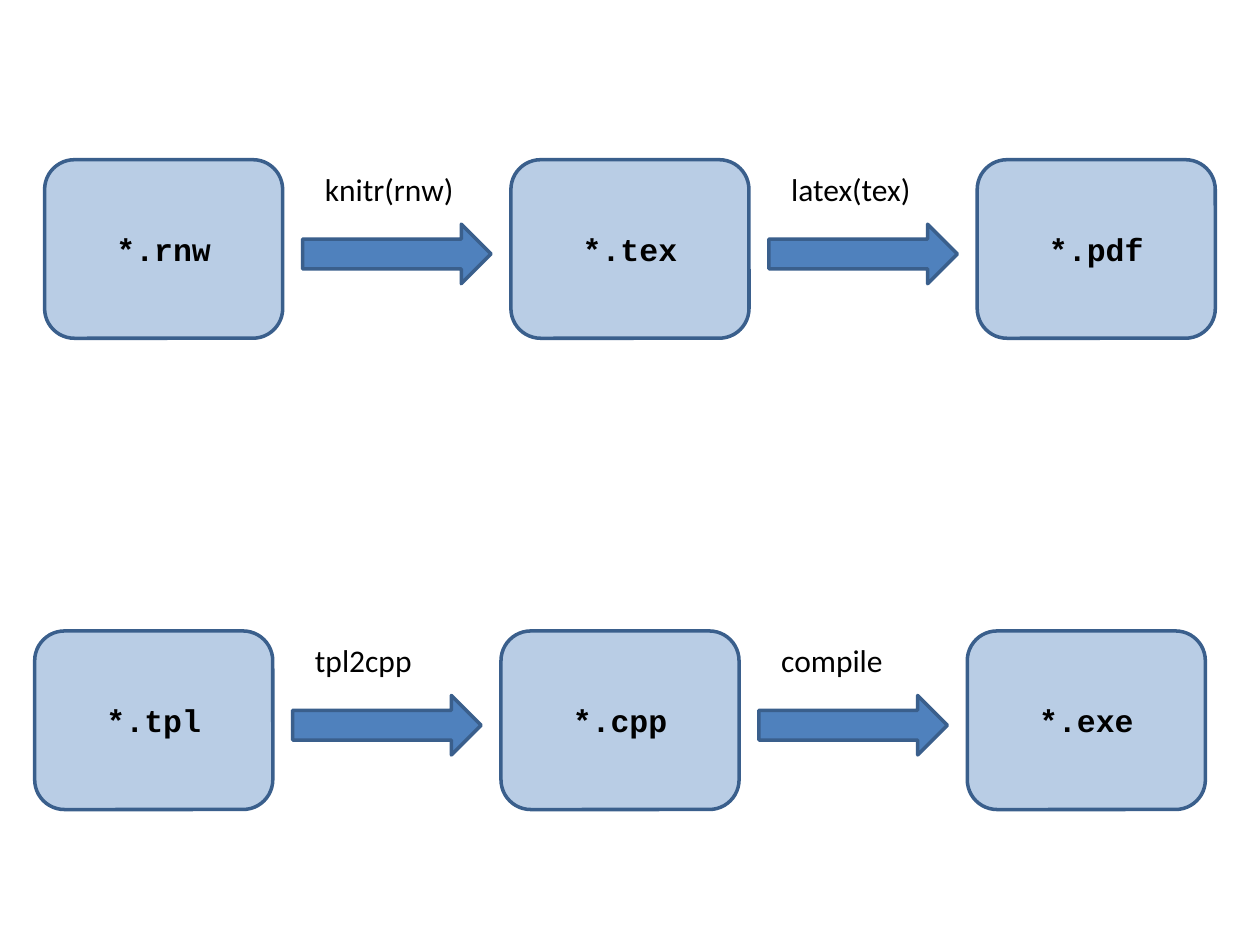
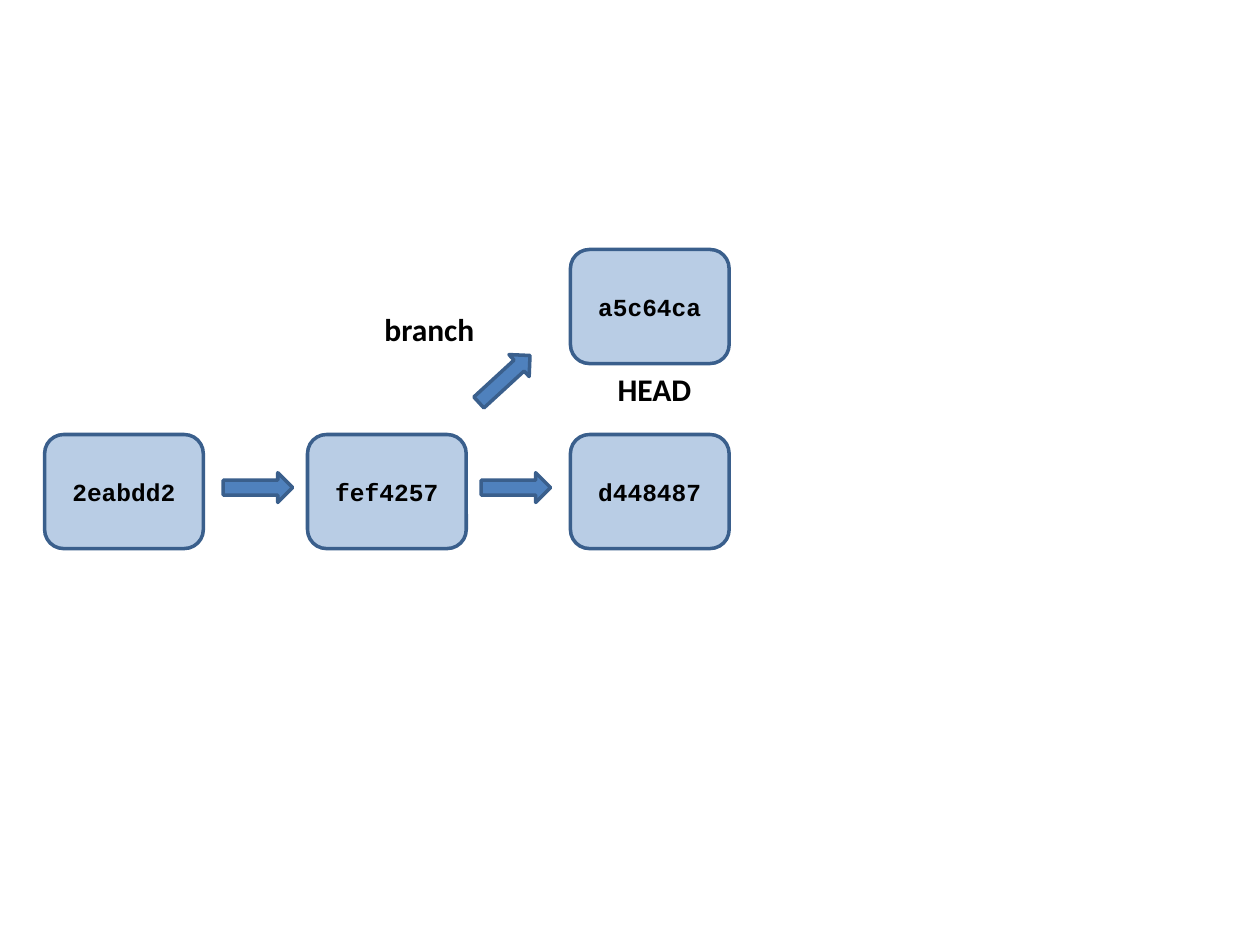
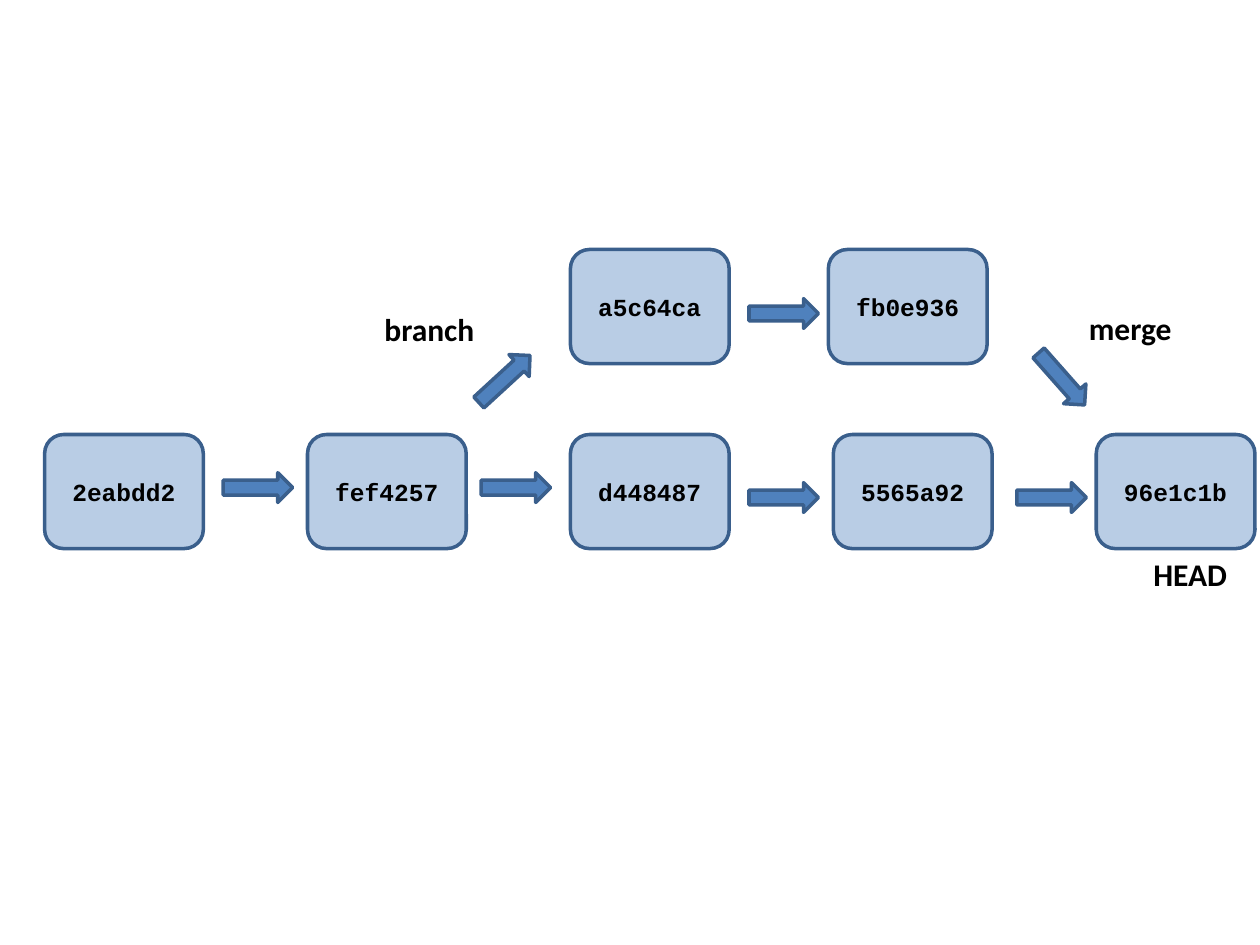
"""Build three flow diagrams: two file pipelines and a commit history before and after a merge."""

from dataclasses import dataclass

import pptx
import pptx.dml.color
import pptx.enum.shapes
import pptx.enum.text
import pptx.shapes.autoshape
import pptx.slide
import pptx.text.text
import pptx.util

Cm = pptx.util.Cm
RGBColor = pptx.dml.color.RGBColor
Kind = pptx.enum.shapes.MSO_SHAPE

BOX_FILL = RGBColor(0xB9, 0xCD, 0xE5)
ARROW_FILL = RGBColor(0x4F, 0x81, 0xBD)
OUTLINE = RGBColor(0x3A, 0x5F, 0x8C)
INK = RGBColor(0x00, 0x00, 0x00)
CODE_FONT = "Courier New"
LABEL_FONT = "Calibri"
BLANK_LAYOUT = 6

LABEL_HEIGHT = 1.02
FILE_PITCH = 9.4
COMMIT_LEFT = 0.9
COMMIT_PITCH = 5.3
MAIN_TOP = 8.76
BRANCH_TOP = 5.03


@dataclass(frozen=True)
class BoxStyle:
    width: float
    height: float
    size: int


FILE_BOX = BoxStyle(4.8, 3.6, 18)
COMMIT_BOX = BoxStyle(3.2, 2.3, 14)


@dataclass(frozen=True)
class Box:
    text: str
    left: float
    top: float
    style: BoxStyle = COMMIT_BOX


@dataclass(frozen=True)
class Arrow:
    left: float
    top: float
    width: float = 1.4
    height: float = 0.6
    rotation: float = 0


@dataclass(frozen=True)
class Label:
    text: str
    left: float
    top: float
    width: float = 3.3
    bold: bool = True


@dataclass(frozen=True)
class Pipeline:
    left: float
    top: float
    files: tuple[str, ...]
    steps: tuple[str, ...]


PIPELINES = (
    Pipeline(0.9, 3.22, ("*.rnw", "*.tex", "*.pdf"), ("knitr(rnw)", "latex(tex)")),
    Pipeline(0.7, 12.72, ("*.tpl", "*.cpp", "*.exe"), ("tpl2cpp", "compile")),
)


def add_span(para: pptx.text.text._Paragraph, text: str, font: str, size: int, bold: bool) -> None:
    span = para.add_run()
    span.text = text
    span.font.name = font
    span.font.size = pptx.util.Pt(size)
    span.font.bold = bold
    span.font.color.rgb = INK


def paint(shape: pptx.shapes.autoshape.Shape, fill: RGBColor) -> None:
    shape.shadow.inherit = False
    shape.fill.solid()
    shape.fill.fore_color.rgb = fill
    shape.line.color.rgb = OUTLINE
    shape.line.width = pptx.util.Pt(2)


def draw_box(page: pptx.slide.Slide, box: Box) -> None:
    shape = page.shapes.add_shape(
        Kind.ROUNDED_RECTANGLE,
        Cm(box.left), Cm(box.top), Cm(box.style.width), Cm(box.style.height),
    )
    paint(shape, BOX_FILL)
    shape.text_frame.vertical_anchor = pptx.enum.text.MSO_ANCHOR.MIDDLE
    para = shape.text_frame.paragraphs[0]
    para.alignment = pptx.enum.text.PP_ALIGN.CENTER
    add_span(para, box.text, CODE_FONT, box.style.size, True)


def draw_arrow(page: pptx.slide.Slide, arrow: Arrow) -> None:
    shape = page.shapes.add_shape(
        Kind.RIGHT_ARROW,
        Cm(arrow.left), Cm(arrow.top), Cm(arrow.width), Cm(arrow.height),
    )
    paint(shape, ARROW_FILL)
    shape.rotation = arrow.rotation


def draw_label(page: pptx.slide.Slide, label: Label) -> None:
    shape = page.shapes.add_textbox(
        Cm(label.left), Cm(label.top), Cm(label.width), Cm(LABEL_HEIGHT)
    )
    frame = shape.text_frame
    frame.word_wrap = True
    frame.auto_size = pptx.enum.text.MSO_AUTO_SIZE.SHAPE_TO_FIT_TEXT
    add_span(frame.paragraphs[0], label.text, LABEL_FONT, 18, label.bold)


def draw_pipeline(page: pptx.slide.Slide, pipeline: Pipeline) -> None:
    for index, name in enumerate(pipeline.files):
        draw_box(page, Box(name, pipeline.left + index * FILE_PITCH, pipeline.top, FILE_BOX))
    for index, step in enumerate(pipeline.steps):
        left = pipeline.left + index * FILE_PITCH
        draw_arrow(page, Arrow(left + 5.2, pipeline.top + 1.3, 3.8, 1.2))
        draw_label(page, Label(step, left + 5.4, pipeline.top + 0.08, 3.8, False))


def draw_history(page: pptx.slide.Slide, commits: tuple[str, ...]) -> None:
    for index, commit in enumerate(commits):
        draw_box(page, Box(commit, COMMIT_LEFT + index * COMMIT_PITCH, MAIN_TOP))
    draw_box(page, Box("a5c64ca", COMMIT_LEFT + 2 * COMMIT_PITCH, BRANCH_TOP))
    for left in (4.5, 9.7):
        draw_arrow(page, Arrow(left, 9.53))
    draw_arrow(page, Arrow(9.47, 7.34, rotation=317.4))
    draw_label(page, Label("branch", 7.5, 6.12))


def draw_head(page: pptx.slide.Slide, left: float, commit_top: float) -> None:
    draw_label(page, Label("HEAD", left, commit_top + COMMIT_BOX.height, 2.1))


def draw_merge(page: pptx.slide.Slide) -> None:
    draw_box(page, Box("fb0e936", 16.7, BRANCH_TOP))
    for left, top in ((15.1, 9.73), (20.5, 9.73), (15.1, 6.02)):
        draw_arrow(page, Arrow(left, top))
    draw_arrow(page, Arrow(20.7, 7.34, rotation=48.5))
    draw_label(page, Label("merge", 21.7, 6.1))


def main() -> None:
    deck = pptx.Presentation()
    deck.slide_width, deck.slide_height = Cm(25.4), Cm(19.05)
    layout = deck.slide_layouts[BLANK_LAYOUT]

    pipelines_page = deck.slides.add_slide(layout)
    for pipeline in PIPELINES:
        draw_pipeline(pipelines_page, pipeline)

    branch_page = deck.slides.add_slide(layout)
    draw_history(branch_page, ("2eabdd2", "fef4257", "d448487"))
    draw_head(branch_page, 12.2, BRANCH_TOP)

    merge_page = deck.slides.add_slide(layout)
    draw_history(merge_page, ("2eabdd2", "fef4257", "d448487", "5565a92", "96e1c1b"))
    draw_merge(merge_page)
    draw_head(merge_page, 23, MAIN_TOP)

    deck.save("out.pptx")


main()
